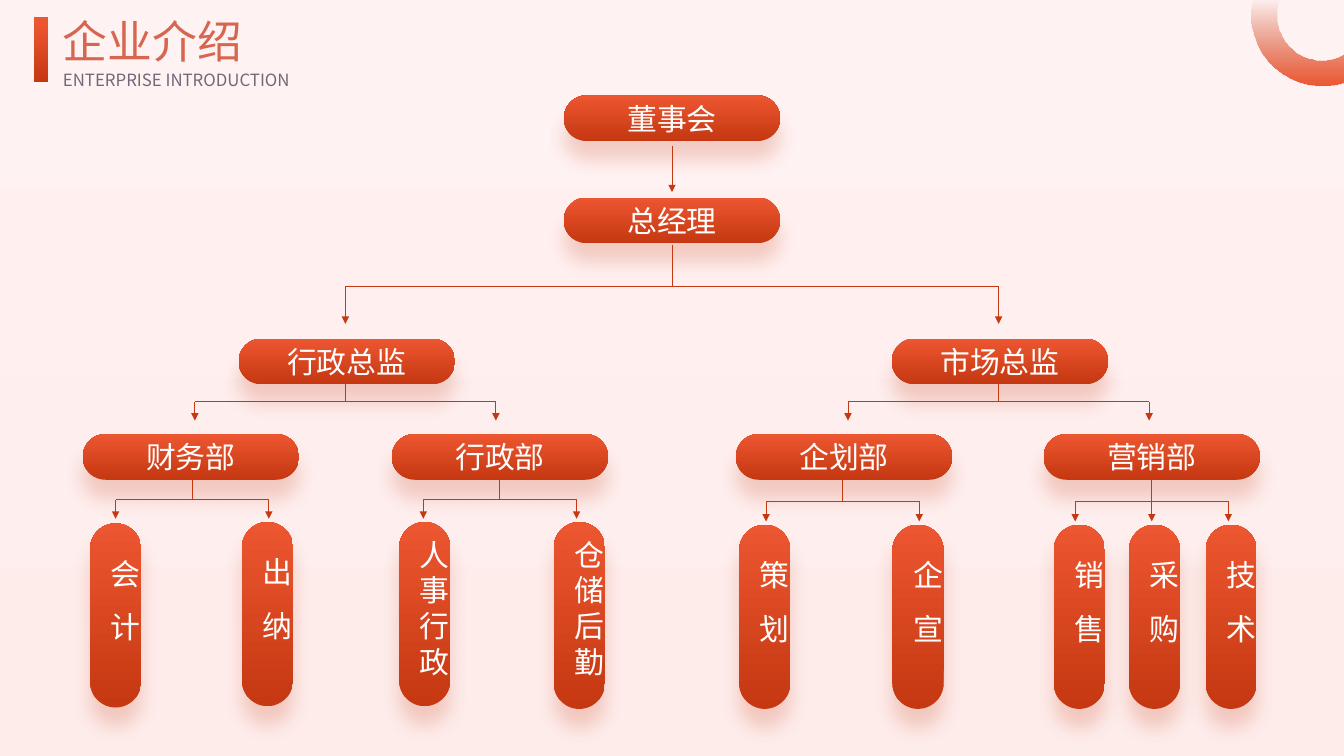
import math
from dataclasses import dataclass

from lxml import etree
from pptx import Presentation
from pptx.dml.color import RGBColor
from pptx.enum.shapes import MSO_CONNECTOR, MSO_SHAPE
from pptx.enum.text import MSO_ANCHOR, MSO_AUTO_SIZE, PP_ALIGN
from pptx.oxml import parse_xml
from pptx.oxml.ns import nsdecls, qn
from pptx.util import Inches, Pt

RECTANGLE = MSO_SHAPE.RECTANGLE
ROUNDED = MSO_SHAPE.ROUNDED_RECTANGLE
STRAIGHT = MSO_CONNECTOR.STRAIGHT
MIDDLE, TOP = MSO_ANCHOR.MIDDLE, MSO_ANCHOR.TOP
CENTER = PP_ALIGN.CENTER
FIT_SHAPE = MSO_AUTO_SIZE.SHAPE_TO_FIT_TEXT

FONT = "Noto Sans CJK SC"
DARK, LIGHT, WHITE = "C53811", "EC5630", "FFFFFF"
PILL_WIDTH, PILL_HEIGHT = 1.61, 0.34
COLUMN_WIDTH = 0.38


@dataclass
class Pill:
    text: str
    center: float
    top: float


@dataclass
class Column:
    text: str
    center: float
    middle: float
    length: float = 1.37


@dataclass
class Fork:
    """A stem down to a bar, with an arrow from the bar to each tip."""
    stem: float
    top: float
    bar: float
    tips: tuple[float, ...]
    bottom: float


BOSSES = [Pill("董事会", 5, 0.71), Pill("总经理", 5, 1.47)]
UPPER_FORKS = [
    Fork(5, 1.82, 2.13, (2.57, 7.43), 2.41),
    Fork(2.57, 2.82, 2.99, (1.45, 3.69), 3.13),
    Fork(7.43, 2.82, 2.99, (6.31, 8.55), 3.13),
]
MANAGERS = [
    Pill("行政总监", 2.58, 2.52), Pill("市场总监", 7.44, 2.52),
    Pill("财务部", 1.42, 3.23), Pill("行政部", 3.72, 3.23),
    Pill("企划部", 6.28, 3.23), Pill("营销部", 8.57, 3.23),
]
LOWER_FORKS = [
    Fork(1.43, 3.55, 3.72, (0.86, 2), 3.86),
    Fork(3.72, 3.55, 3.72, (3.15, 4.29), 3.86),
    Fork(6.27, 3.57, 3.73, (5.7, 6.84), 3.88),
    Fork(8.57, 3.57, 3.73, (8, 8.57, 9.14), 3.88),
]
COLUMNS = [
    Column("会计", 0.86, 4.58), Column("出纳", 1.99, 4.57),
    Column("人事行政", 3.16, 4.57), Column("仓储后勤", 4.31, 4.58, 1.39),
    Column("策划", 5.69, 4.59), Column("企宣", 6.83, 4.59),
    Column("销售", 8.03, 4.59), Column("技术", 9.16, 4.59),
    Column("采购", 8.59, 4.59),
]


def color(value: str) -> RGBColor:
    return RGBColor.from_string(value)


def set_gradient(fill, start: str, end: str, angle: float, first: float = 0) -> None:
    """Blend two colours along an angle measured counterclockwise."""
    fill.gradient()
    fill.gradient_angle = angle
    for stop, value, position in zip(fill.gradient_stops, (start, end), (first, 1)):
        stop.color.rgb = color(value)
        stop.position = position


def format_text(frame, text: str, size: float):
    frame.text = text
    frame.word_wrap = True
    font = frame.paragraphs[0].runs[0].font
    font.size = Pt(size)
    font.name = FONT
    etree.SubElement(font._element, qn("a:ea")).set("typeface", FONT)
    return font


def add_heading(page, text: str, left: float, top: float, width: float, height: float,
                size: float):
    box = page.shapes.add_textbox(Inches(left), Inches(top), Inches(width), Inches(height))
    font = format_text(box.text_frame, text, size)
    box.text_frame.auto_size = FIT_SHAPE
    return font


def add_capsule(page, text: str, center: float, middle: float, width: float,
                height: float, angle: float):
    box = page.shapes.add_shape(ROUNDED, Inches(center - width / 2),
                                Inches(middle - height / 2), Inches(width), Inches(height))
    box.adjustments[0] = 0.5
    set_gradient(box.fill, DARK, LIGHT, angle)
    box.line.fill.background()
    box._element.spPr.append(parse_xml(
        f'<a:effectLst {nsdecls("a")}><a:outerShdw blurRad="{Pt(10)}" dist="{Pt(10)}" '
        f'dir="5400000" rotWithShape="0"><a:srgbClr val="{DARK}"><a:alpha val="20000"/>'
        '</a:srgbClr></a:outerShdw></a:effectLst>'))
    format_text(box.text_frame, text, 16).color.rgb = color(WHITE)
    box.text_frame.paragraphs[0].alignment = CENTER
    return box


def add_pill(page, pill: Pill) -> None:
    box = add_capsule(page, pill.text, pill.center, pill.top + PILL_HEIGHT / 2,
                      PILL_WIDTH, PILL_HEIGHT, 90)
    box.text_frame.vertical_anchor = MIDDLE


def add_column(page, column: Column) -> None:
    """Turn a capsule upright and turn its text back, so it stacks by character."""
    box = add_capsule(page, column.text, column.center, column.middle,
                      column.length, COLUMN_WIDTH, 180)
    box.rotation = 90
    box.text_frame.vertical_anchor = TOP
    box.text_frame._txBody.bodyPr.set("vert", "vert270")
    if len(column.text) == 2:
        box.text_frame.paragraphs[0].line_spacing = 1.5


def add_line(page, x1: float, y1: float, x2: float, y2: float, arrow: bool = False) -> None:
    line = page.shapes.add_connector(STRAIGHT, Inches(x1), Inches(y1), Inches(x2), Inches(y2))
    line.line.color.rgb = color(DARK)
    line.line.width = Pt(0.5)
    if arrow:
        etree.SubElement(line.line._get_or_add_ln(), qn("a:tailEnd"),
                         {"type": "triangle", "w": "sm", "len": "sm"})
    etree.SubElement(line._element.spPr, qn("a:effectLst"))


def add_fork(page, fork: Fork) -> None:
    add_line(page, fork.tips[0], fork.bar, fork.tips[-1], fork.bar)
    if fork.stem in fork.tips:
        add_line(page, fork.stem, fork.top, fork.stem, fork.bottom, arrow=True)
    else:
        add_line(page, fork.stem, fork.top, fork.stem, fork.bar)
    for tip in fork.tips:
        if tip != fork.stem:
            add_line(page, tip, fork.bar, tip, fork.bottom, arrow=True)


def add_corner_ring(page) -> None:
    """Draw the part of a ring that lies inside the top right corner."""
    center_x, center_y, steps = 9.83, 0.12, 40

    def arc(radius: float) -> list[tuple[float, float]]:
        start = math.acos((10 - center_x) / radius)
        end = math.pi + math.asin(center_y / radius)
        angles = [start + (end - start) * step / steps for step in range(steps + 1)]
        return [(Inches(center_x + radius * math.cos(angle)),
                 Inches(center_y + radius * math.sin(angle))) for angle in angles]

    points = arc(0.52) + arc(0.33)[::-1]
    builder = page.shapes.build_freeform(*points[0])
    builder.add_line_segments(points[1:], close=True)
    ring = builder.convert_to_shape()
    ring.shadow.inherit = False
    ring.line.fill.background()
    set_gradient(ring.fill, LIGHT, DARK, 90)
    end_color = ring._element.spPr.findall(".//" + qn("a:gs"))[-1][0]
    etree.SubElement(end_color, qn("a:alpha")).set("val", "0")


def main() -> None:
    deck = Presentation()
    deck.slide_width = Inches(10)
    deck.slide_height = deck.slide_width * 9 // 16
    page = deck.slides.add_slide(deck.slide_layouts[6])
    set_gradient(page.background.fill, "FFF2F2", "FEECEA", 270)

    marker = page.shapes.add_shape(RECTANGLE, Inches(0.25), Inches(0.13),
                                   Inches(0.11), Inches(0.48))
    marker.shadow.inherit = False
    marker.line.fill.background()
    set_gradient(marker.fill, LIGHT, DARK, 270, first=0.11)
    add_corner_ring(page)

    title = add_heading(page, "企业介绍", 0.37, 0.05, 3.64, 0.5, 24)
    set_gradient(title.fill, "D66650", LIGHT, 90)
    subtitle = add_heading(page, "ENTERPRISE INTRODUCTION", 0.37, 0.47, 1.9, 0.25, 9)
    subtitle.color.rgb = color("71687A")

    for pill in BOSSES:
        add_pill(page, pill)
    add_line(page, 5, 1.09, 5, 1.43, arrow=True)
    for fork in UPPER_FORKS:
        add_fork(page, fork)
    for pill in MANAGERS:
        add_pill(page, pill)
    for fork in LOWER_FORKS:
        add_fork(page, fork)
    for column in COLUMNS:
        add_column(page, column)
    deck.save("out.pptx")


if __name__ == "__main__":
    main()
